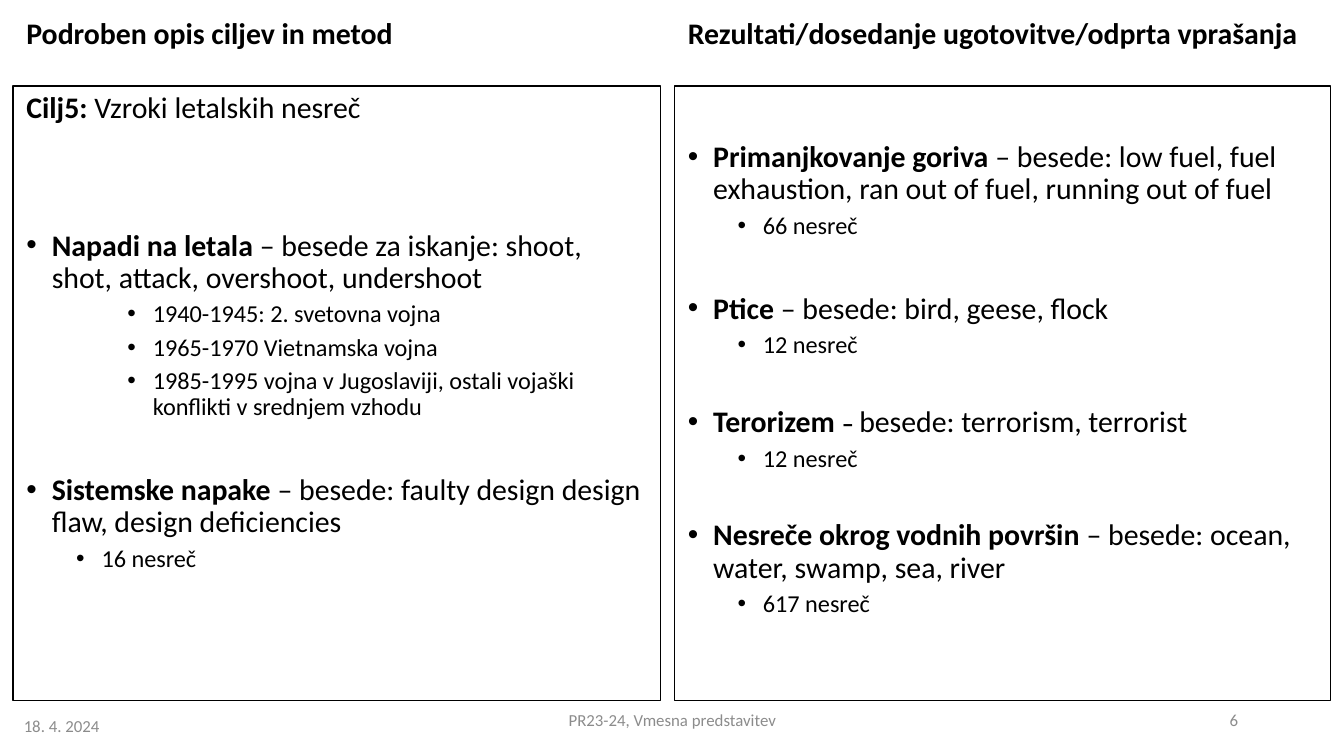
from dataclasses import dataclass

from lxml import etree
from pptx import Presentation
from pptx.dml.color import RGBColor
from pptx.enum.shapes import MSO_SHAPE
from pptx.enum.text import MSO_ANCHOR, PP_ALIGN
from pptx.oxml.ns import qn
from pptx.util import Cm, Pt

RECTANGLE = MSO_SHAPE.RECTANGLE
TOP, MIDDLE = MSO_ANCHOR.TOP, MSO_ANCHOR.MIDDLE
LEFT, CENTER, RIGHT = PP_ALIGN.LEFT, PP_ALIGN.CENTER, PP_ALIGN.RIGHT


@dataclass(frozen=True)
class Theme:
    font: str = "Calibri"
    text: RGBColor = RGBColor(0, 0, 0)
    muted: RGBColor = RGBColor(0x8C, 0x8C, 0x8C)
    main_size: Pt = Pt(16)
    detail_size: Pt = Pt(13)
    footer_size: Pt = Pt(9)
    border: Pt = Pt(0.75)
    line_spacing: float = 0.9


@dataclass(frozen=True)
class Box:
    """A region of the slide, in centimetres."""
    left: float
    top: float
    width: float
    height: float

    def lengths(self):
        return Cm(self.left), Cm(self.top), Cm(self.width), Cm(self.height)


@dataclass(frozen=True)
class Item:
    """A paragraph: bold lead, plain rest, indent level and gap above in points."""
    lead: str
    rest: str
    level: int = 0
    gap: float = 7.5
    bullet: bool = True
    dash: str = ""  # small bold dash between lead and rest


def detail(text, level=1):
    return Item("", text, level, 3.8)


THEME = Theme()
INDENTS = (0.48, 1.42, 2.39)
HANGING = 0.48
HEADING_HEIGHT = 1.04
PANEL_OFFSET = 1.4
SECTION_GAP = 28.9
SMALL_SECTION_GAP = 25.6

GOALS = (
    Item("Cilj5: ", "Vzroki letalskih nesreč", gap=0, bullet=False),
    Item("Napadi na letala",
         " – besede za iskanje: shoot, shot, attack, overshoot, undershoot", gap=56.3),
    detail("1940-1945: 2. svetovna vojna", 2),
    detail("1965-1970 Vietnamska vojna", 2),
    detail("1985-1995 vojna v Jugoslaviji, ostali vojaški konflikti v srednjem vzhodu", 2),
    Item("Sistemske napake ", "– besede: faulty design design flaw, design deficiencies",
         gap=SECTION_GAP),
    detail("16 nesreč"),
)
RESULTS = (
    Item("Primanjkovanje goriva ",
         "– besede: low fuel, fuel exhaustion, ran out of fuel, running out of fuel", gap=0),
    detail("66 nesreč"),
    Item("Ptice ", "– besede: bird, geese, flock", gap=SECTION_GAP),
    detail("12 nesreč"),
    Item("Terorizem ", "besede: terrorism, terrorist", gap=SMALL_SECTION_GAP, dash="– "),
    detail("12 nesreč"),
    Item("Nesreče okrog vodnih površin ", "– besede: ocean, water, swamp, sea, river",
         gap=SMALL_SECTION_GAP),
    detail("617 nesreč"),
)


def style_font(font, size, color=THEME.text):
    font.name = THEME.font
    font.size = size
    font.color.rgb = color


def add_bullet(paragraph, level):
    properties = paragraph._p.get_or_add_pPr()
    properties.set("marL", str(Cm(INDENTS[level])))
    properties.set("indent", str(-Cm(HANGING)))
    etree.SubElement(properties, qn("a:buFont")).set("typeface", "Arial")
    etree.SubElement(properties, qn("a:buChar")).set("char", "•")


def add_label(slide, box, text, size, color, alignment=LEFT, anchor=MIDDLE, bold=False):
    frame = slide.shapes.add_textbox(*box.lengths()).text_frame
    frame.word_wrap = True
    frame.vertical_anchor = anchor
    paragraph = frame.paragraphs[0]
    paragraph.text = text
    paragraph.alignment = alignment
    style_font(paragraph.font, size, color)
    paragraph.font.bold = bold
    return paragraph


def fill_item(paragraph, item):
    paragraph.alignment = LEFT
    paragraph.level = item.level
    paragraph.line_spacing = THEME.line_spacing
    paragraph.space_before = Pt(item.gap)
    size = THEME.detail_size if item.level else THEME.main_size
    style_font(paragraph.font, size)
    if item.bullet:
        add_bullet(paragraph, item.level)
    parts = ((item.lead, True, size), (item.dash, True, THEME.detail_size),
             (item.rest, False, size))
    for text, bold, run_size in parts:
        if text:
            run = paragraph.add_run()
            run.text = text
            style_font(run.font, run_size)
            run.font.bold = bold


def add_column(slide, box, heading, items, top_inset=0.13):
    """Place a heading above a bordered panel of items."""
    heading_box = Box(box.left, box.top, box.width, HEADING_HEIGHT)
    paragraph = add_label(slide, heading_box, heading, THEME.main_size, THEME.text,
                          anchor=TOP, bold=True)
    paragraph.line_spacing = THEME.line_spacing

    panel_box = Box(box.left, box.top + PANEL_OFFSET, box.width, box.height - PANEL_OFFSET)
    panel = slide.shapes.add_shape(RECTANGLE, *panel_box.lengths())
    panel.shadow.inherit = False
    panel.fill.background()
    panel.line.color.rgb = THEME.text
    panel.line.width = THEME.border
    frame = panel.text_frame
    frame.word_wrap = True
    frame.vertical_anchor = TOP
    frame.margin_top = Cm(top_inset)
    for index, item in enumerate(items):
        fill_item(frame.add_paragraph() if index else frame.paragraphs[0], item)


def add_footer(slide, box):
    labels = (
        (0, 0.11, 10.44, "18. 4. 2024", LEFT),
        (8.21, 0, 8.59, "PR23-24, Vmesna predstavitev", CENTER),
        (17.73, 0, 5.72, "6", RIGHT),
    )
    for left, top, width, text, alignment in labels:
        label_box = Box(box.left + left, box.top + top, width, box.height)
        add_label(slide, label_box, text, THEME.footer_size, THEME.muted, alignment)


def main():
    presentation = Presentation()
    presentation.slide_width = Cm(25.4)
    presentation.slide_height = Cm(14.29)
    slide = presentation.slides.add_slide(presentation.slide_layouts[6])
    add_column(slide, Box(0.25, 0.23, 12.24, 13.01), "Podroben opis ciljev in metod", GOALS)
    add_column(slide, Box(12.75, 0.23, 12.4, 13.01),
               "Rezultati/dosedanje ugotovitve/odprta vprašanja", RESULTS, top_inset=1.05)
    add_footer(slide, Box(0.2, 13.23, 23.45, 0.76))
    presentation.save("out.pptx")


if __name__ == "__main__":
    main()
